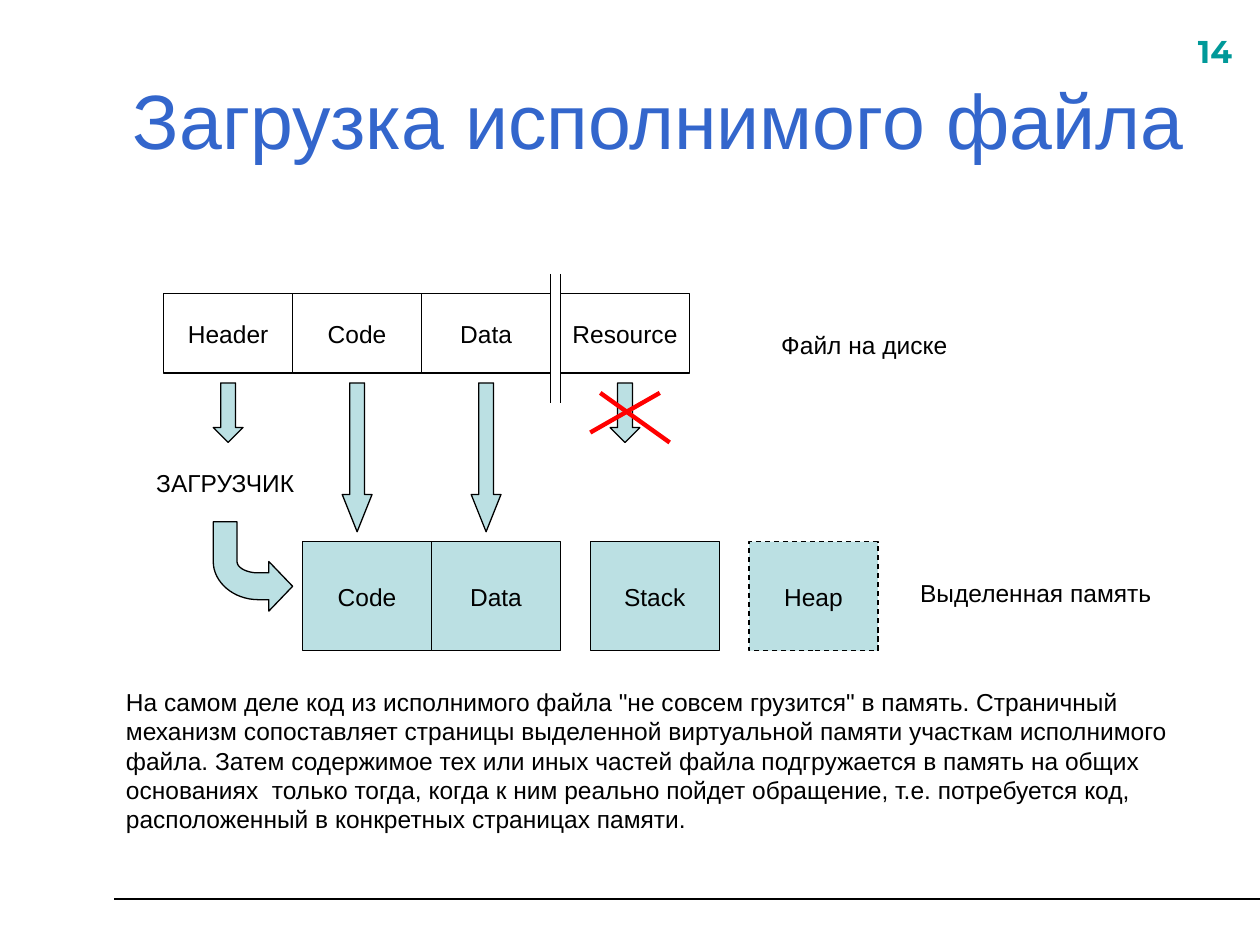
from lxml import etree
from pptx import Presentation
from pptx.dml.color import RGBColor
from pptx.enum.dml import MSO_LINE
from pptx.enum.shapes import MSO_CONNECTOR, MSO_SHAPE
from pptx.enum.text import MSO_ANCHOR, PP_ALIGN
from pptx.oxml.ns import qn
from pptx.util import Cm, Pt

BLACK = RGBColor(0, 0, 0)
WHITE = RGBColor(255, 255, 255)
RED = RGBColor(255, 0, 0)
BLUE = RGBColor(0x33, 0x66, 0xCC)
TEAL = RGBColor(0, 0x99, 0x99)
PALE = RGBColor(0xBB, 0xE0, 0xE3)
RECT, DOWN = MSO_SHAPE.RECTANGLE, MSO_SHAPE.DOWN_ARROW
STRAIGHT = MSO_CONNECTOR.STRAIGHT
DASH = MSO_LINE.DASH
MIDDLE, TOP = MSO_ANCHOR.MIDDLE, MSO_ANCHOR.TOP
LEFT, CENTER = PP_ALIGN.LEFT, PP_ALIGN.CENTER

CELL = 2.6
DISK = (("Header", 0, 1.2), ("Code", CELL, 3), ("Data", 2 * CELL, 3),
        ("Resource", 3 * CELL + 0.2, 1.2))
MEMORY = (("Code", 0), ("Data", CELL), ("Stack", 5.8), ("Heap", 9))
BODY = (
    'На самом деле код из исполнимого файла "не совсем грузится" в память. '
    "Страничный механизм сопоставляет страницы выделенной виртуальной памяти "
    "участкам исполнимого файла. Затем содержимое тех или иных частей файла "
    "подгружается в память на общих основаниях  только тогда, когда к ним "
    "реально пойдет обращение, т.е. потребуется код, расположенный в "
    "конкретных страницах памяти."
)


def write(frame, text, size=14, color=BLACK, align=LEFT, anchor=TOP,
          wrap=True, face="Arial", bold=False):
    frame.word_wrap = wrap
    frame.vertical_anchor = anchor
    para = frame.paragraphs[0]
    para.text = text
    para.alignment = align
    font = para.font
    font.name, font.size, font.bold = face, Pt(size), bold
    font.color.rgb = color


def label(slide, x, y, w, h, text, **style):
    box = slide.shapes.add_textbox(Cm(x), Cm(y), Cm(w), Cm(h))
    write(box.text_frame, text, **style)


def paint(shape, fill):
    shape.shadow.inherit = False
    shape.fill.solid()
    shape.fill.fore_color.rgb = fill
    shape.line.color.rgb = BLACK
    shape.line.width = Pt(0.75)


def block(slide, x, y, h, text, fill):
    shape = slide.shapes.add_shape(RECT, Cm(x), Cm(y), Cm(CELL), Cm(h))
    paint(shape, fill)
    write(shape.text_frame, text, align=CENTER, anchor=MIDDLE, wrap=False)
    return shape


def arrow(slide, x, y, h):
    width = 0.6
    shape = slide.shapes.add_shape(
        DOWN, Cm(x - width / 2), Cm(y), Cm(width), Cm(h))
    shape.adjustments[1] = h / width / 4
    paint(shape, PALE)


def line(slide, x1, y1, x2, y2, color=BLACK, width=0.75):
    link = slide.shapes.add_connector(
        STRAIGHT, Cm(x1), Cm(y1), Cm(x2), Cm(y2))
    link.line.color.rgb = color
    link.line.width = Pt(width)
    etree.SubElement(link._element.spPr, qn("a:effectLst"))


def curve(a, b, c, d, steps=16):
    points = []
    for i in range(1, steps + 1):
        t = i / steps
        u = 1 - t
        points.append(tuple(
            u**3 * p + 3 * u * u * t * q + 3 * u * t * t * r + t**3 * s
            for p, q, r, s in zip(a, b, c, d)))
    return points


def bend(slide, x, y):
    outer = curve((0, 0.8), (0, 1.22), (0.41, 1.57), (0.91, 1.57))
    inner = curve((0.91, 1.03), (0.68, 1.03), (0.48, 0.93), (0.48, 0.8))
    head = [(1.12, 1.57), (1.12, 1.8), (1.6, 1.3), (1.12, 0.8),
            (1.12, 1.03), (0.91, 1.03)]
    points = [(0, 0.8), *outer, *head, *inner, (0.48, 0)]
    form = slide.shapes.build_freeform(Cm(x), Cm(y))
    form.add_line_segments(
        [(Cm(x + dx), Cm(y + dy)) for dx, dy in points], close=True)
    paint(form.convert_to_shape(), PALE)


def disk(slide, x, y):
    for text, dx, size in DISK:
        block(slide, x + dx, y, 1.6, text, WHITE)
        arrow(slide, x + dx + CELL / 2, y + 1.8, size)
    for dx in (3 * CELL, 3 * CELL + 0.2):
        line(slide, x + dx, y - 0.4, x + dx, y + 2.2)
    line(slide, x + 8.6, y + 2.8, x + 10, y + 2, RED, 2.5)
    line(slide, x + 8.8, y + 2, x + 10.2, y + 3, RED, 2.5)
    label(slide, x + 12.2, y + 0.6, 6.6, 0.86, "Файл на диске")


def memory(slide, x, y):
    label(slide, x - 3.2, y - 1.6, 3.4, 0.86, "ЗАГРУЗЧИК")
    bend(slide, x - 1.8, y - 0.4)
    for text, dx in MEMORY:
        cell = block(slide, x + dx, y, 2.2, text, PALE)
    cell.line.dash_style = DASH
    label(slide, x + 12.2, y + 0.6, 6, 0.86, "Выделенная память")


def main():
    deck = Presentation()
    deck.slide_width, deck.slide_height = Cm(25.4), Cm(19.05)
    slide = deck.slides.add_slide(deck.slide_layouts[6])
    line(slide, 2.3, 18.13, 25.4, 18.13, width=1.25)
    label(slide, 23.9, 0.53, 1.6, 1.12, "14", size=18, color=TEAL,
          face="Montserrat", bold=True)
    label(slide, 1.85, 0.81, 22.86, 3.18, "Загрузка исполнимого файла",
          size=44, color=BLUE, align=CENTER, anchor=MIDDLE)
    disk(slide, 3.3, 5.92)
    memory(slide, 6.1, 10.92)
    label(slide, 2.29, 13.72, 21.8, 3.23, BODY)
    deck.save("out.pptx")


if __name__ == "__main__":
    main()
